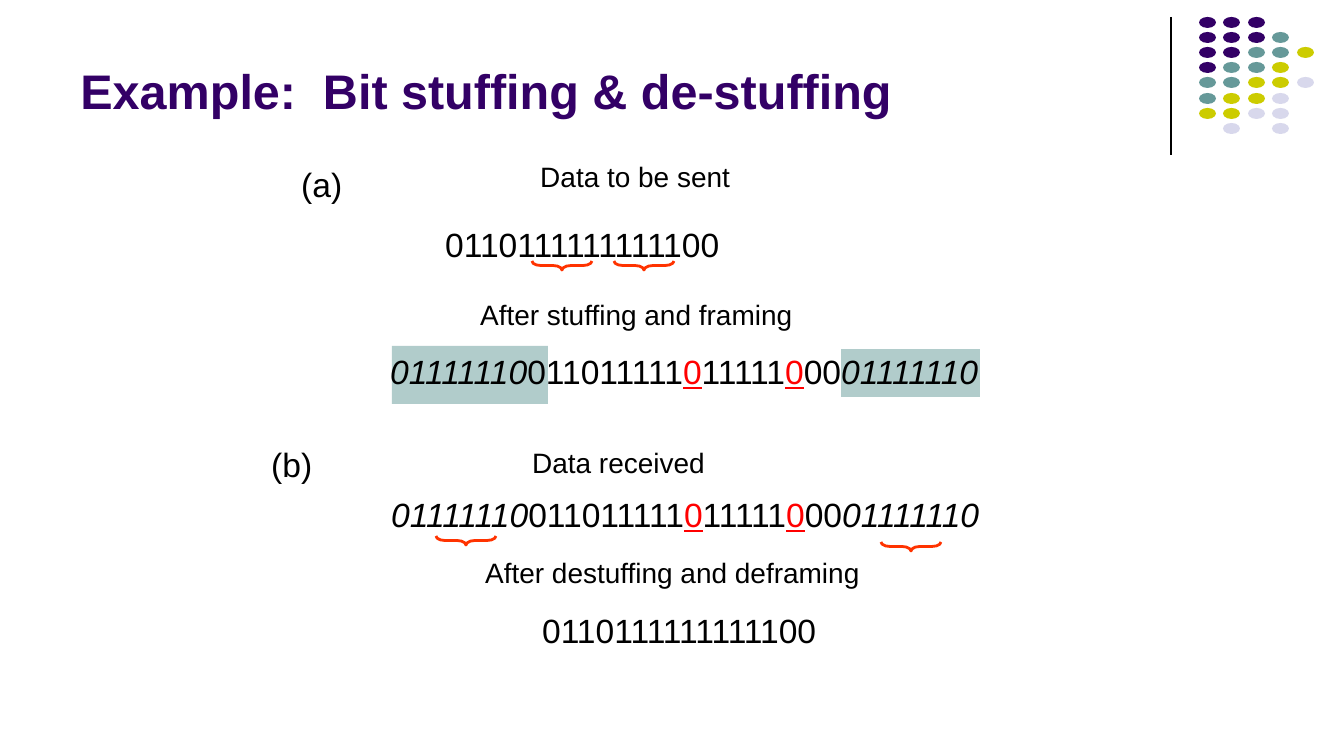
from lxml.etree import SubElement
from pptx import Presentation
from pptx.dml.color import RGBColor
from pptx.enum.shapes import MSO_CONNECTOR, MSO_SHAPE
from pptx.enum.text import MSO_ANCHOR, MSO_AUTO_SIZE, PP_ALIGN
from pptx.oxml.ns import qn
from pptx.util import Pt

SCALE = 914400 / 134.4
DOTS = ["PPP", "PPPT", "PPTTY", "PTTY", "TTYYL", "TYYL", "YYLL", " L L"]
TINTS = {"P": "330066", "T": "669999", "Y": "CCCC00", "L": "D8D8EC"}
DATA = [("0110111111111100", "")]
FRAME = [("01111110", "flag"), ("011011111", ""), ("0", "stuff"),
         ("11111", ""), ("0", "stuff"), ("00", ""), ("01111110", "flag")]


def px(*nums):
    return [round(n * SCALE) for n in nums]


def color(code):
    return RGBColor.from_string(code)


class Page:
    """Hold the style and the current slide, and draw each kind of element."""

    font, ink, red, brace_ink = "Arial", "000000", "FF0000", "FF3300"

    def __init__(self, slide):
        self.slide = slide
        self.shapes = slide.shapes

    def style(self, run, size, code, bold=False):
        font = run.font
        font.name, font.size, font.bold = self.font, Pt(size), bold
        font.color.rgb = color(code)

    def title(self, text, *box):
        shape = self.shapes.title
        shape.left, shape.top, shape.width, shape.height = px(*box)
        frame = shape.text_frame
        frame.text = text
        frame.vertical_anchor = MSO_ANCHOR.BOTTOM
        para = frame.paragraphs[0]
        para.alignment = PP_ALIGN.LEFT
        self.style(para.runs[0], 26, "330066", True)

    def text(self, parts, size, *box):
        frame = self.shapes.add_textbox(*px(*box)).text_frame
        frame.word_wrap = True
        frame.auto_size = MSO_AUTO_SIZE.SHAPE_TO_FIT_TEXT
        para = frame.paragraphs[0]
        for text, kind in parts:
            run = para.add_run()
            run.text = text
            stuff = kind == "stuff"
            self.style(run, size, self.red if stuff else self.ink)
            run.font.italic = kind == "flag"
            run.font.underline = stuff

    def label(self, text, size, *box):
        self.text([(text, "")], size, *box)

    def solid(self, kind, code, *box):
        shape = self.shapes.add_shape(kind, *px(*box))
        shape.shadow.inherit = False
        shape.fill.solid()
        shape.fill.fore_color.rgb = color(code)
        shape.line.fill.background()

    def brace(self, left, top, wide=60, high=9):
        side = left + (wide - high) / 2
        rise = top - (wide - high) / 2
        shape = self.shapes.add_shape(MSO_SHAPE.LEFT_BRACE, *px(side, rise, high, wide))
        shape.rotation = 270
        shape.adjustments[0] = 1
        shape.shadow.inherit = False
        shape.fill.background()
        shape.line.color.rgb = color(self.brace_ink)
        shape.line.width = Pt(1.5)

    def rule(self, *ends):
        line = self.shapes.add_connector(MSO_CONNECTOR.STRAIGHT, *px(*ends))
        line.line.color.rgb = color(self.ink)
        line.line.width = Pt(0.75)
        SubElement(line._element.spPr, qn("a:effectLst"))

    def dots(self, left, top):
        for row, marks in enumerate(DOTS):
            for col, mark in enumerate(marks):
                if mark in TINTS:
                    self.solid(MSO_SHAPE.OVAL, TINTS[mark],
                               left + col * 49 // 2, top + row * 76 // 5, 17, 11)


def main():
    deck = Presentation()
    deck.slide_width, deck.slide_height = px(1344, 756)
    page = Page(deck.slides.add_slide(deck.slide_layouts[5]))

    page.rule(1171, 17, 1171, 155)
    page.dots(1199, 17)
    page.title("Example:  Bit stuffing & de-stuffing", 67, 13, 1109, 113)

    page.solid(MSO_SHAPE.RECTANGLE, "B1CCCB", 841, 349, 139, 48)
    page.solid(MSO_SHAPE.RECTANGLE, "B1CCCB", 392, 346, 156, 58)

    page.label("(a)", 18, 288, 157, 75, 54)
    page.label("Data to be sent", 15, 527, 153, 224, 47)
    page.text(DATA, 18, 432, 217, 406, 54)
    page.label("After stuffing and framing", 15, 467, 291, 348, 47)
    page.text(FRAME, 18, 377, 344, 800, 54)

    page.label("(b)", 18, 258, 437, 75, 54)
    page.label("Data received", 15, 519, 439, 207, 47)
    page.text(FRAME, 18, 378, 487, 800, 54)
    page.label("After destuffing and deframing", 15, 472, 549, 410, 47)
    page.text(DATA, 18, 529, 603, 332, 54)

    for spot in [(532, 261), (614, 261), (436, 536), (881, 542)]:
        page.brace(*spot)

    deck.save("out.pptx")


if __name__ == "__main__":
    main()
